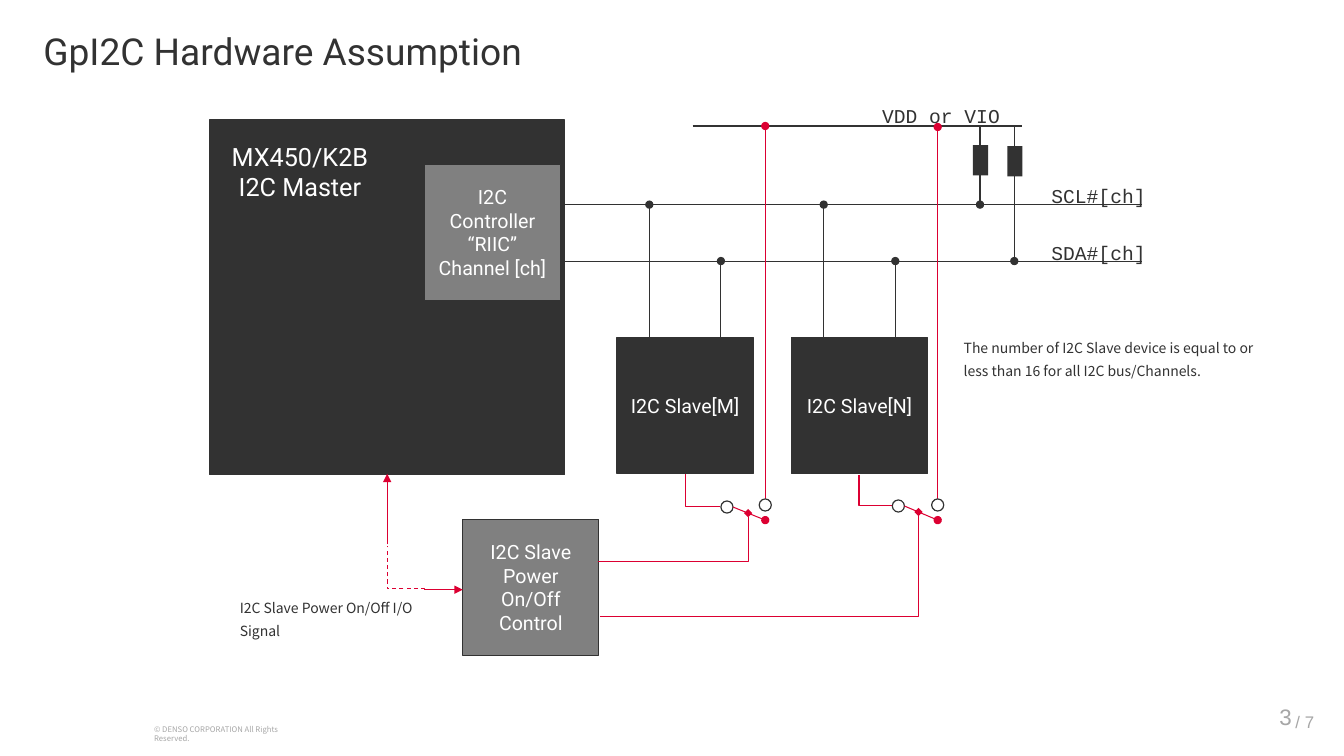
from dataclasses import dataclass

from lxml import etree
from pptx import Presentation
from pptx.dml.color import RGBColor
from pptx.enum.dml import MSO_LINE
from pptx.enum.shapes import MSO_CONNECTOR, MSO_SHAPE
from pptx.enum.text import MSO_ANCHOR, PP_ALIGN
from pptx.oxml.ns import qn
from pptx.util import Emu, Pt

RECT, OVAL = MSO_SHAPE.RECTANGLE, MSO_SHAPE.OVAL
STRAIGHT, ELBOW = MSO_CONNECTOR.STRAIGHT, MSO_CONNECTOR.ELBOW
LEFT, CENTER, RIGHT = PP_ALIGN.LEFT, PP_ALIGN.CENTER, PP_ALIGN.RIGHT
TOP, MIDDLE = MSO_ANCHOR.TOP, MSO_ANCHOR.MIDDLE
DASH = MSO_LINE.DASH
EMU_PER_PX = 9144  # 100 px to the inch


@dataclass(frozen=True)
class Theme:
    dark: str = "323232"
    gray: str = "808080"
    pale: str = "A6A6A6"
    red: str = "DC0032"
    white: str = "FFFFFF"
    heading: str = "Roboto"
    body: str = "Noto Sans CJK JP"
    code: str = "Courier New"
    number: str = "Arial"
    title_size: float = 26.5
    master_size: float = 18
    label_size: float = 14
    note_size: float = 10
    page_size: float = 16
    total_size: float = 12
    legal_size: float = 5.5
    wire: float = 0.75
    outline: float = 0.85


THEME = Theme()


def px(value):
    return Emu(round(value * EMU_PER_PX))


def write(shape, lines, font, size, color, align=LEFT, anchor=TOP,
          inset_y=5, inset_left=10, spacing=None, wrap=True):
    frame = shape.text_frame
    frame.word_wrap = wrap
    frame.vertical_anchor = anchor
    frame.margin_left, frame.margin_right = px(inset_left), px(10)
    frame.margin_top = frame.margin_bottom = px(inset_y)
    for index, line in enumerate(lines):
        para = frame.add_paragraph() if index else frame.paragraphs[0]
        para.alignment = align
        if spacing:
            para.line_spacing = spacing
        span = para.add_run()
        span.text = line
        span.font.name = font
        span.font.size = Pt(size)
        span.font.color.rgb = RGBColor.from_string(color)


def add_text(page, place, lines, font, size, color, **options):
    box = page.shapes.add_textbox(*map(px, place))
    write(box, lines, font, size, color, **options)


def add_label(page, place, text, font=THEME.code, size=THEME.label_size, wrap=False):
    add_text(page, place, [text], font, size, THEME.dark,
             inset_y=0, spacing=1.35, wrap=wrap)


def add_block(page, place, fill, lines=(), kind=RECT, outlined=True):
    block = page.shapes.add_shape(kind, *map(px, place))
    block.shadow.inherit = False
    block.fill.solid()
    block.fill.fore_color.rgb = RGBColor.from_string(fill)
    if outlined:
        style_line(block, THEME.dark, THEME.outline)
    else:
        block.line.fill.background()
    if lines:
        write(block, lines, THEME.heading, THEME.label_size, THEME.white,
              align=CENTER, anchor=MIDDLE)


def style_line(shape, color, width, head=None, tail=None, dash=None):
    shape.line.color.rgb = RGBColor.from_string(color)
    shape.line.width = Pt(width)
    if dash:
        shape.line.dash_style = dash
    outline = shape._element.spPr.find(qn("a:ln"))
    for tag, kind in (("a:headEnd", head), ("a:tailEnd", tail)):
        if kind:
            etree.SubElement(outline, qn(tag), type=kind)


def add_wire(page, start, end, color=THEME.dark, kind=STRAIGHT, **ends):
    wire = page.shapes.add_connector(kind, *map(px, start + end))
    style_line(wire, color, THEME.wire, **ends)
    etree.SubElement(wire._element.spPr, qn("a:effectLst"))
    return wire


def add_bend(page, place, flip, preset="bentConnector2", adjust=None, dash=None):
    """Elbow wire turned by 270 degrees inside its unrotated frame."""
    left, top, width, height = place
    bend = add_wire(page, (left, top), (left + width, top + height),
                    THEME.red, ELBOW, dash=dash)
    properties = bend._element.spPr
    frame = properties.find(qn("a:xfrm"))
    frame.set("rot", str(270 * 60000))
    frame.set(flip, "1")
    geometry = properties.find(qn("a:prstGeom"))
    geometry.set("prst", preset)
    if adjust:
        guides = geometry.find(qn("a:avLst"))
        if guides is None:
            guides = etree.SubElement(geometry, qn("a:avLst"))
        etree.SubElement(guides, qn("a:gd"), name="adj1", fmla=f"val {adjust}")


def add_control_path(page, start, corner, end):
    builder = page.shapes.build_freeform(*map(px, start))
    builder.add_line_segments([tuple(map(px, point)) for point in (corner, end)],
                              close=False)
    route = builder.convert_to_shape()
    route.shadow.inherit = False
    route.fill.background()
    style_line(route, THEME.red, THEME.outline, tail="diamond")


def add_frame_texts(page):
    add_text(page, (143, 714, 178, 19), ["© DENSO CORPORATION All Rights Reserved."],
             THEME.body, THEME.legal_size, THEME.pale)
    add_text(page, (1220, 693, 71, 35), ["3"], THEME.number, THEME.page_size,
             THEME.pale, align=RIGHT, anchor=MIDDLE, inset_y=4)
    add_text(page, (1275, 702, 39, 28), ["/ 7"], THEME.number, THEME.total_size,
             THEME.pale, anchor=MIDDLE, inset_y=4, wrap=False)
    add_text(page, (0, 28, 1182, 45), ["GpI2C Hardware Assumption"], THEME.heading,
             THEME.title_size, THEME.dark, inset_left=43, spacing=0.9)


def add_bus(page, scl, sda, supply):
    # Master and its two bus lines
    add_block(page, (208, 119, 352, 352), THEME.dark)
    for level, top, name in ((scl, 174, "SCL#[ch]"), (sda, 231, "SDA#[ch]")):
        add_wire(page, (503, level), (1133, level))
        add_label(page, (1033, top, 114, 30), name)
    add_text(page, (213, 135, 169, 71), ["MX450/K2B", "I2C Master"], THEME.heading,
             THEME.master_size, THEME.white, align=CENTER)
    add_block(page, (421, 163, 135, 135), THEME.gray,
              ["I2C Controller", "“RIIC”", "Channel [ch]"])

    # Slaves hang below the bus
    for left, name in ((612, "I2C Slave[M]"), (785, "I2C Slave[N]")):
        add_block(page, (left, 335, 135, 135), THEME.dark, [name])
        for offset, level in ((32, scl), (103, sda)):
            add_wire(page, (left + offset, 335), (left + offset, level), tail="oval")

    # Pull-up resistors
    for x, level, top in ((972, scl, 144), (1006, sda, 145)):
        add_wire(page, (x, supply), (x, level), tail="oval")
        add_block(page, (x - 7, top, 15, 30), THEME.dark, outlined=False)
    add_wire(page, (687, supply), (1014, supply))
    add_label(page, (865, 95, 138, 30), "VDD or VIO")


def add_power_switches(page, supply):
    switches = (
        (759, supply, (681, 469, 32, 35), (715, 497)),
        (930, supply + 1, (853, 470, 31, 33), (885, 496)),
    )
    for feed, start, elbow, (left, top) in switches:
        add_wire(page, (feed, start), (feed, 502), THEME.red, head="oval")
        add_bend(page, elbow, "flipH")
        add_block(page, (feed - 6, 495, 12, 12), THEME.white, kind=OVAL)
        add_block(page, (left, top, 12, 12), THEME.white, kind=OVAL)
        add_wire(page, (left + 12, top + 6), (feed, 516), THEME.red, tail="oval")


def add_power_control(page):
    add_block(page, (459, 515, 135, 135), THEME.gray,
              ["I2C Slave Power On/Off", "Control"])
    add_control_path(page, (593, 557), (742, 557), (742, 509))
    add_control_path(page, (595, 612), (911, 612), (911, 508))

    # Signal between master and control
    add_wire(page, (459, 585), (421, 585), THEME.red, head="triangle")
    add_wire(page, (384, 540), (384, 470), THEME.red, tail="triangle")
    add_bend(page, (381, 545, 43, 37), "flipV", "bentConnector3", 1500, DASH)
    add_label(page, (228, 589, 230, 20), "I2C Slave Power On/Off I/O Signal",
              THEME.body, THEME.note_size, wrap=True)


def main():
    deck = Presentation()
    deck.slide_width, deck.slide_height = px(1333), px(750)
    page = deck.slides.add_slide(deck.slide_layouts[6])
    supply = 125
    add_frame_texts(page)
    add_bus(page, 203, 259, supply)
    add_power_switches(page, supply)
    add_power_control(page)
    add_label(page, (946, 331, 310, 43),
              "The number of I2C Slave device is equal to or less than 16 "
              "for all I2C bus/Channels.",
              THEME.body, THEME.note_size, wrap=True)
    deck.save("out.pptx")


if __name__ == "__main__":
    main()
